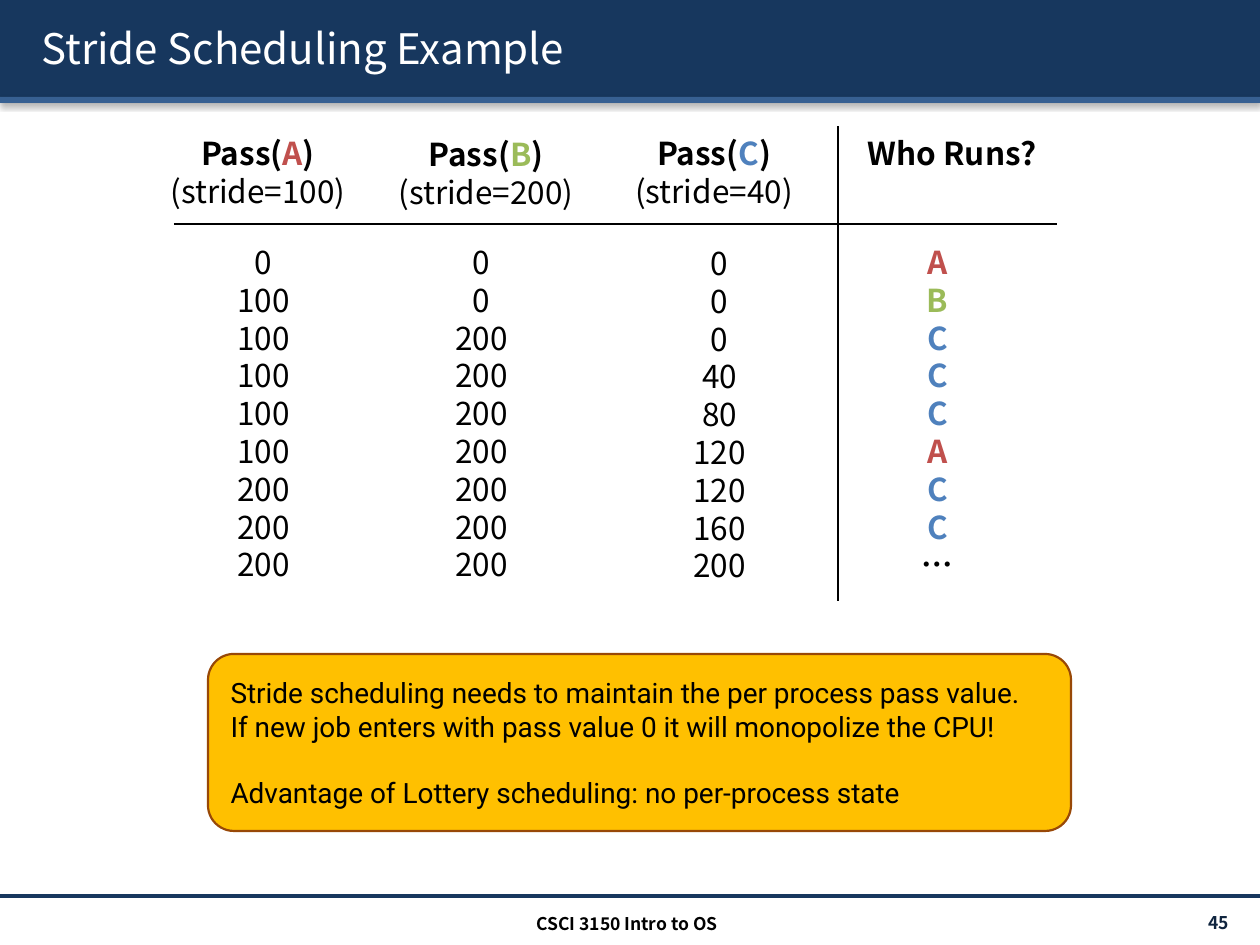
from dataclasses import dataclass

from lxml import etree
from pptx import Presentation
from pptx.dml.color import RGBColor
from pptx.enum.shapes import MSO_CONNECTOR, MSO_SHAPE
from pptx.enum.text import MSO_ANCHOR, MSO_AUTO_SIZE, PP_ALIGN
from pptx.oxml.ns import qn
from pptx.util import Emu, Pt

RECT, ROUNDED = MSO_SHAPE.RECTANGLE, MSO_SHAPE.ROUNDED_RECTANGLE
STRAIGHT = MSO_CONNECTOR.STRAIGHT
TOP, MIDDLE = MSO_ANCHOR.TOP, MSO_ANCHOR.MIDDLE
LEFT, CENTER, RIGHT = PP_ALIGN.LEFT, PP_ALIGN.CENTER, PP_ALIGN.RIGHT
GROW = MSO_AUTO_SIZE.SHAPE_TO_FIT_TEXT
EMU_PER_PX = 914400 / 126


@dataclass(frozen=True)
class Theme:
    """Colours, fonts and type sizes of the slide."""
    navy: str = "17375E"
    steel: str = "376092"
    ink: str = "000000"
    paper: str = "FFFFFF"
    number: str = "0F243E"
    amber: str = "FFC000"
    brown: str = "984807"
    font: str = "Noto Sans CJK KR"
    note_font: str = "Roboto"
    title_size: int = 24
    table_size: int = 18
    note_size: int = 16
    footer_size: int = 10


THEME = Theme()
JOB_COLORS = {"A": "C0504D", "B": "9BBB59", "C": "4F81BD"}
COLUMNS = [
    {"job": "A", "stride": 100, "head": (16, 0), "body": (46, 109),
     "values": [0, 100, 100, 100, 100, 100, 200, 200, 200]},
    {"job": "B", "stride": 200, "head": (244, 1), "body": (264, 109),
     "values": [0, 0, 200, 200, 200, 200, 200, 200, 200]},
    {"job": "C", "stride": 40, "head": (472, 0), "body": (502, 110),
     "values": [0, 0, 0, 40, 80, 120, 120, 160, 200]},
]
RUNNERS = "ABCCCACC…"
NOTES = [
    "Stride scheduling needs to maintain the per process pass value.",
    "If new job enters with pass value 0 it will monopolize the CPU!",
    "Advantage of Lottery scheduling: no per-process state",
]


def px(length):
    """Turn a length in px into EMU."""
    return Emu(round(length * EMU_PER_PX))


def apply(target, values):
    """Set each attribute named in a dict."""
    for name, value in values.items():
        setattr(target, name, value)


def add_shadow(parent, blur, distance, angle, alpha):
    """Append an outer shadow to a properties element."""
    effects = parent.find(qn("a:effectLst"))
    if effects is None:
        effects = etree.SubElement(parent, qn("a:effectLst"))
    outer = etree.SubElement(effects, qn("a:outerShdw"), {
        "blurRad": str(Pt(blur)), "dist": str(Pt(distance)),
        "dir": str(angle * 60000), "algn": "t", "rotWithShape": "0"})
    color = etree.SubElement(outer, qn("a:srgbClr"), val=THEME.ink)
    etree.SubElement(color, qn("a:alpha"), val=str(alpha * 1000))


def add_run(paragraph, text, size, color, bold=False, font=THEME.font):
    """Add one formatted run."""
    run = paragraph.add_run()
    run.text = text
    apply(run.font, {"size": Pt(size), "bold": bold, "name": font})
    run.font.color.rgb = RGBColor.from_string(color)
    return run


def write_lines(frame, lines, align):
    """Fill a frame with lines, each a list of run arguments."""
    paragraphs = [frame.paragraphs[0]] + [frame.add_paragraph() for _ in lines[1:]]
    for paragraph, runs in zip(paragraphs, lines):
        paragraph.alignment = align
        for run in runs:
            add_run(paragraph, *run)
    return paragraphs


def add_text(slide, box, lines, align, **layout):
    """Add a wrapped text box."""
    frame = slide.shapes.add_textbox(*map(px, box)).text_frame
    apply(frame, {"word_wrap": True, "vertical_anchor": TOP, **layout})
    return write_lines(frame, lines, align)


def add_line(slide, start, end, color, width):
    """Add a straight line without a shadow."""
    line = slide.shapes.add_connector(STRAIGHT, *map(px, start + end))
    line.line.color.rgb = RGBColor.from_string(color)
    line.line.width = Pt(width)
    etree.SubElement(line._element.spPr, qn("a:effectLst"))


def add_panel(slide, kind, box, color):
    """Add a filled shape without line or shadow."""
    panel = slide.shapes.add_shape(kind, *map(px, box))
    panel.shadow.inherit = False
    panel.fill.solid()
    panel.fill.fore_color.rgb = RGBColor.from_string(color)
    panel.line.fill.background()
    return panel


def add_header(slide, box, title):
    """Draw the title band with its lower stripe."""
    left, top, width, height = box
    stripe = 6
    bands = [((left, top, width, height - stripe), THEME.navy),
             ((left, top + height - stripe, width, stripe), THEME.steel)]
    for band_box, color in bands:
        band = add_panel(slide, RECT, band_box, color)
        add_shadow(band._element.spPr, 3.1, 1.6, 90, 38)
    title_line, = add_text(slide, (left + 29, top + 8, width - 49, 80),
                           [[(title, THEME.title_size, THEME.paper)]],
                           LEFT, vertical_anchor=MIDDLE)
    add_shadow(title_line.runs[0].font._element, 0, 2, 45, 100)


def add_column_text(slide, box, lines):
    """Add centred table text at a fixed line pitch."""
    for paragraph in add_text(slide, box, lines, CENTER,
                              auto_size=GROW, margin_top=px(9)):
        paragraph.line_spacing = Pt(THEME.table_size * 1.2)


def add_schedule(slide, box):
    """Draw the pass values, the job that runs and the two rules."""
    left, top, width, height = box
    size, ink = THEME.table_size, THEME.ink
    head_width, body_width, body_height = 208, 159, 357
    add_line(slide, (left + 36, top + 99), (left + width, top + 99), ink, 1.5)
    add_line(slide, (left + 700, top + 1), (left + 700, top + height), ink, 1.5)
    for column in COLUMNS:
        job = column["job"]
        head_x, head_y = column["head"]
        body_x, body_y = column["body"]
        add_column_text(slide, (left + head_x, top + head_y, head_width, 89), [
            [("Pass(", size, ink, True), (job, size, JOB_COLORS[job], True),
             (")", size, ink, True)],
            [(f"(stride={column['stride']})", size, ink)]])
        add_column_text(slide, (left + body_x, top + body_y, body_width, body_height),
                        [[(str(value), size, ink)] for value in column["values"]])
    add_column_text(slide, (left + 710, top, head_width, 50),
                    [[("Who Runs?", size, ink, True)]])
    add_column_text(slide, (left + 720, top + 109, body_width, body_height),
                    [[(job, size, JOB_COLORS.get(job, ink), True)] for job in RUNNERS])


def add_note(slide, box):
    """Draw the rounded remark, its last line set apart."""
    note = add_panel(slide, ROUNDED, box, THEME.amber)
    note.adjustments[0] = 0.146
    note.line.color.rgb = RGBColor.from_string(THEME.brown)
    note.line.width = Pt(1.25)
    apply(note.text_frame, {"word_wrap": True, "vertical_anchor": MIDDLE,
                            "margin_left": px(15), "margin_right": px(15),
                            "margin_top": px(6), "margin_bottom": px(6)})
    lines = [[(text, THEME.note_size, THEME.ink, False, THEME.note_font)] for text in NOTES]
    write_lines(note.text_frame, lines, LEFT)[-1].space_before = Pt(19)


def add_footer(slide, box, course, number):
    """Draw the footer rule, the course and the slide number."""
    left, top, width, _ = box
    size = THEME.footer_size
    add_line(slide, (left, top), (left + width, top), THEME.navy, 2)
    texts = [((left + 418, top + 11, 418, 30), course, THEME.ink, CENTER, TOP),
             ((left + 1097, top + 12, 144, 30), number, THEME.number, RIGHT, MIDDLE)]
    for text_box, text, color, align, anchor in texts:
        line, = add_text(slide, text_box, [[(text, size, color, True)]],
                         align, vertical_anchor=anchor)
        line.line_spacing = Pt(size * 1.2)


def main():
    """Build and save the slide."""
    deck = Presentation()
    apply(deck, {"slide_width": px(1260), "slide_height": px(945)})
    slide = deck.slides.add_slide(deck.slide_layouts[6])
    add_header(slide, (0, 0, 1260, 103), "Stride Scheduling Example")
    add_schedule(slide, (138, 125, 919, 476))
    add_note(slide, (208, 654, 863, 177))
    add_footer(slide, (0, 896, 1260, 49), "CSCI 3150 Intro to OS", "45")
    deck.save("out.pptx")


if __name__ == "__main__":
    main()
